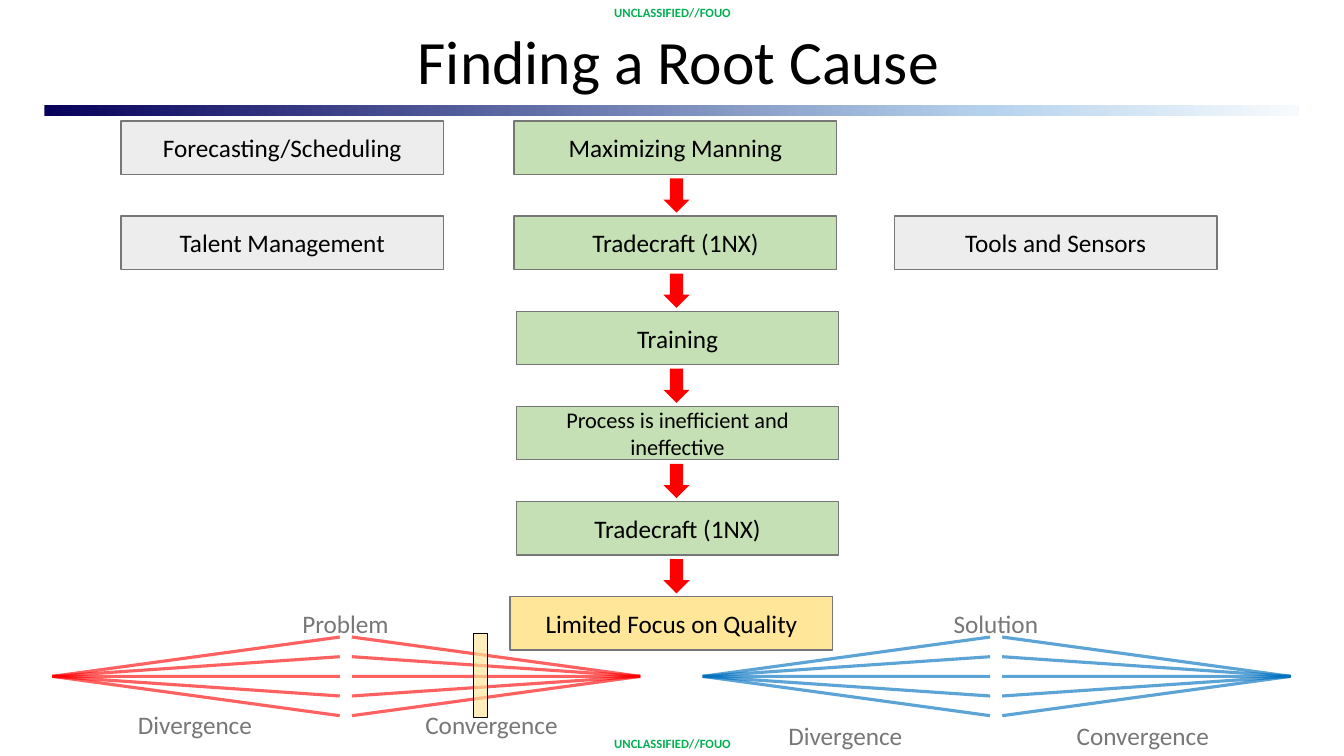
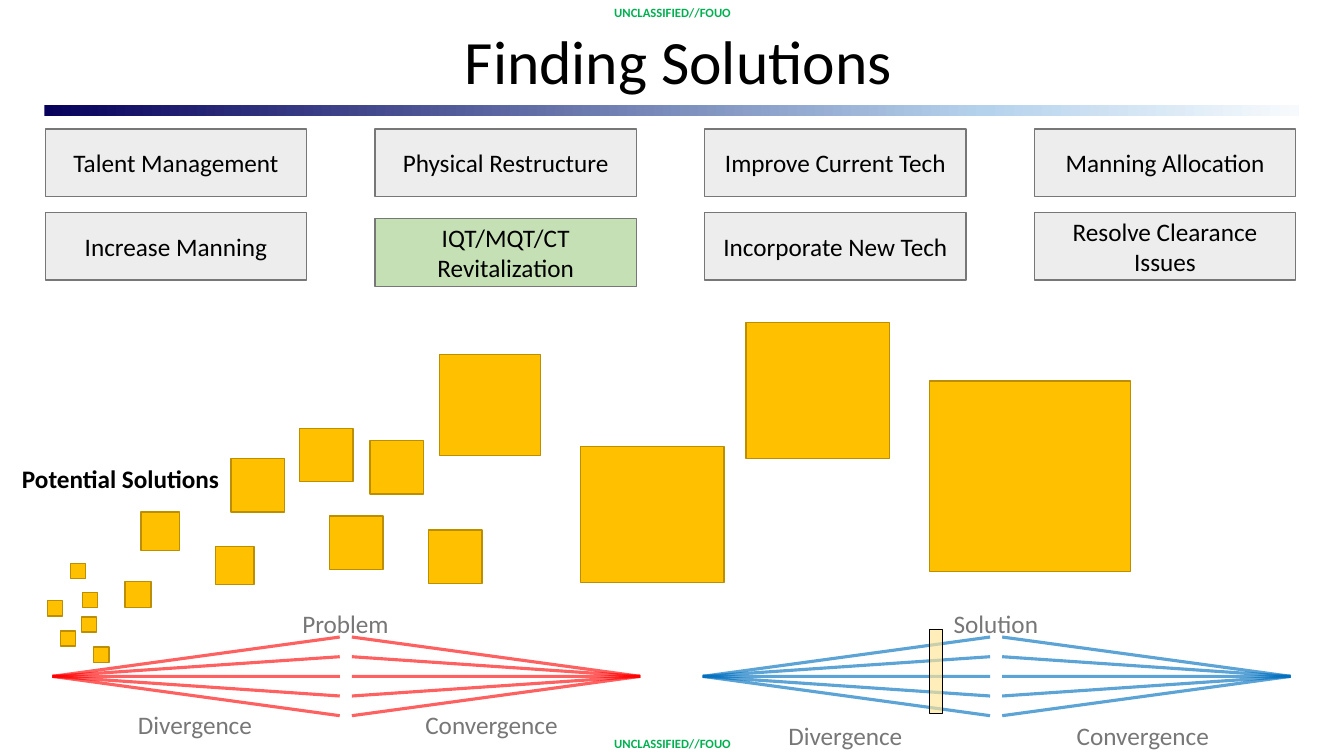
from copy import deepcopy

from lxml import etree
from pptx import Presentation
from pptx.dml.color import RGBColor
from pptx.enum import shapes, text
from pptx.oxml.ns import qn
from pptx.util import Inches, Pt

FONT = "Calibri"
BLACK = RGBColor(0x00, 0x00, 0x00)
GRAY = RGBColor(0x77, 0x77, 0x77)
PALE_GRAY = RGBColor(0xED, 0xED, 0xED)
PALE_GREEN = RGBColor(0xC5, 0xE0, 0xB4)
PALE_GOLD = RGBColor(0xFF, 0xE6, 0x99)
GOLD = RGBColor(0xFF, 0xC0, 0x00)
DARK_GOLD = RGBColor(0xBD, 0x8E, 0x00)
RED = RGBColor(0xFF, 0x00, 0x00)
BLUE = RGBColor(0x00, 0x70, 0xC0)
GREEN = RGBColor(0x00, 0xB0, 0x50)
BAND_STOPS = [
    (0, RGBColor(0x07, 0x01, 0x5B)),
    (0.75, RGBColor(0xB5, 0xD2, 0xEC)),
    (1, RGBColor(0xF7, 0xFA, 0xFD)),
]

MARKING = "UNCLASSIFIED//FOUO"
# Left edge, colour and opacity of each double fan
FANS = [(0.52, RED, 61), (6.97, BLUE, 63)]
FAN_LABELS = [
    ("Problem", 2.9, 5.99, 1.07),
    ("Solution", 9.36, 5.99, 1.05),
    ("Divergence", 1.27, 6.99, 1.35),
    ("Divergence", 7.72, 7.1, 1.35),
    ("Convergence", 4.12, 6.99, 1.59),
    ("Convergence", 10.58, 7.1, 1.59),
]

# Text, left, row, fill, text size
CAUSES = [
    ("Forecasting/Scheduling", 1.2, 0, PALE_GRAY, 18),
    ("Maximizing Manning", 5.1, 0, PALE_GREEN, 18),
    ("Talent Management", 1.2, 1, PALE_GRAY, 18),
    ("Tradecraft (1NX)", 5.1, 1, PALE_GREEN, 18),
    ("Tools and Sensors", 8.87, 1, PALE_GRAY, 18),
    ("Training", 5.12, 2, PALE_GREEN, 18),
    ("Process is inefficient and ineffective", 5.12, 3, PALE_GREEN, 16),
    ("Tradecraft (1NX)", 5.12, 4, PALE_GREEN, 18),
    ("Limited Focus on Quality", 5.06, 5, PALE_GOLD, 18),
]
CAUSE_TOP, CAUSE_STEP = 1.2, (5.92 - 1.2) / 5

SOLUTIONS = [
    ["Talent Management", "Physical Restructure", "Improve Current Tech",
     "Manning Allocation"],
    ["Increase Manning", "IQT/MQT/CT Revitalization", "Incorporate New Tech",
     "Resolve Clearance Issues"],
]
CHOSEN = "IQT/MQT/CT Revitalization"

# (width, height) of potential solutions: their (left, top) corners
SQUARES = {
    (0.15, 0.15): [(0.47, 5.96), (0.81, 6.12), (0.7, 5.59), (0.6, 6.26),
                   (0.93, 6.42), (0.82, 5.88)],
    (0.26, 0.26): [(1.24, 5.77)],
    (0.38, 0.38): [(1.4, 5.08), (2.14, 5.42)],
    (0.53, 0.53): [(2.97, 4.25), (4.25, 5.26), (3.27, 5.12), (2.29, 4.55),
                   (3.67, 4.37)],
    (1, 1): [(4.36, 3.52)],
    (1.42, 1.35): [(5.76, 4.43), (7.4, 3.2)],
    (1.99, 1.89): [(9.22, 3.78)],
}


def set_opacity(sp, percent):
    """Make the first solid colour of a shape or line partly transparent."""
    color = sp._element.spPr.find(".//" + qn("a:srgbClr"))
    etree.SubElement(color, qn("a:alpha"), val=str(percent * 1000))


def write(sp, words, size, color, bold=False, align=text.PP_ALIGN.CENTER):
    p = sp.text_frame.paragraphs[0]
    p.text = words
    p.alignment = align
    p.font.name, p.font.size, p.font.bold = FONT, Pt(size), bold
    p.font.color.rgb = color
    return p


def add_text(s, words, box, size, color, bold=False, wrap=True):
    """Wrapped text is centred in its box; other text starts at the left."""
    sp = s.shapes.add_textbox(*map(Inches, box))
    sp.text_frame.word_wrap = wrap
    align = text.PP_ALIGN.CENTER if wrap else text.PP_ALIGN.LEFT
    write(sp, words, size, color, bold, align)
    return sp


def add_box(s, box, fill, line=None, width=1, kind=shapes.MSO_SHAPE.RECTANGLE):
    sp = s.shapes.add_shape(kind, *map(Inches, box))
    sp.shadow.inherit = False
    sp.fill.solid()
    sp.fill.fore_color.rgb = fill
    if line is None:
        sp.line.fill.background()
    else:
        sp.line.color.rgb = line
        sp.line.width = Pt(width)
    return sp


def add_band(s):
    sp = add_box(s, (0.44, 1.04, 12.44, 0.11), BLUE)
    sp.fill.gradient()
    sp.fill.gradient_angle = 0
    stops = sp._element.spPr.find(".//" + qn("a:gsLst"))
    stops.insert(1, deepcopy(stops[0]))
    for stop, (position, color) in zip(sp.fill.gradient_stops, BAND_STOPS):
        stop.position = position
        stop.color.rgb = color


def add_fan(s, left, color, opacity):
    """Draw five rays from each outer tip towards the middle."""
    middle = 6.71
    for tip, inner in ((left, left + 2.85), (left + 5.83, left + 2.97)):
        for ray in range(-2, 3):
            ends = (tip, middle, inner, middle + ray * 0.195)
            line = s.shapes.add_connector(shapes.MSO_CONNECTOR.STRAIGHT,
                                          *map(Inches, ends))
            line.line.color.rgb = color
            line.line.width = Pt(2.25)
            set_opacity(line, opacity)
            etree.SubElement(line._element.spPr, qn("a:effectLst"))


def add_base(prs, title, marker_left, marker_top):
    """Add a slide with the shared parts and the marker of the current stage."""
    s = prs.slides.add_slide(prs.slide_layouts[6])
    add_band(s)
    for fan in FANS:
        add_fan(s, *fan)
    for words, left, top, width in FAN_LABELS:
        add_text(s, words, (left, top, width, 0.4), 18, GRAY, wrap=False)
    for top in (0, 7.25):
        add_text(s, MARKING, (1.67, top, 10, 0.25), 9, GREEN, bold=True)
    sp = add_text(s, title, (1.49, 0.15, 10.48, 0.98), 44, BLACK)
    sp.text_frame.vertical_anchor = text.MSO_ANCHOR.MIDDLE
    sp.text_frame.paragraphs[0].line_spacing = 0.9
    marker = add_box(s, (marker_left, marker_top, 0.13, 0.84), PALE_GOLD,
                     BLACK, 0.5)
    set_opacity(marker, 67)
    return s


def build_root_cause(prs):
    s = add_base(prs, "Finding a Root Cause", 4.7, 6.28)
    for words, left, row, fill, size in CAUSES:
        top = CAUSE_TOP + row * CAUSE_STEP
        write(add_box(s, (left, top, 3.2, 0.53), fill, GRAY), words, size, BLACK)
    for row in range(5):
        top = CAUSE_TOP + row * CAUSE_STEP + 0.57
        add_box(s, (6.58, top, 0.26, 0.34), RED,
                kind=shapes.MSO_SHAPE.DOWN_ARROW)


def build_solutions(prs):
    s = add_base(prs, "Finding Solutions", 9.22, 6.24)
    for row, names in enumerate(SOLUTIONS):
        for column, words in enumerate(names):
            left, top, fill = 0.45 + column * 3.27, 1.28 + row * 0.83, PALE_GRAY
            if words == CHOSEN:
                top, fill = top + 0.06, PALE_GREEN
            sp = add_box(s, (left, top, 2.59, 0.67), fill, GRAY)
            write(sp, words, 18, BLACK)
    for size, corners in SQUARES.items():
        for corner in corners:
            add_box(s, corner + size, GOLD, DARK_GOLD)
    add_text(s, "Potential Solutions", (0.12, 4.55, 2.17, 0.4), 18, BLACK,
             bold=True, wrap=False)


def main():
    prs = Presentation()
    prs.slide_width, prs.slide_height = Inches(13.33), Inches(7.5)
    build_root_cause(prs)
    build_solutions(prs)
    prs.save("out.pptx")


if __name__ == "__main__":
    main()
